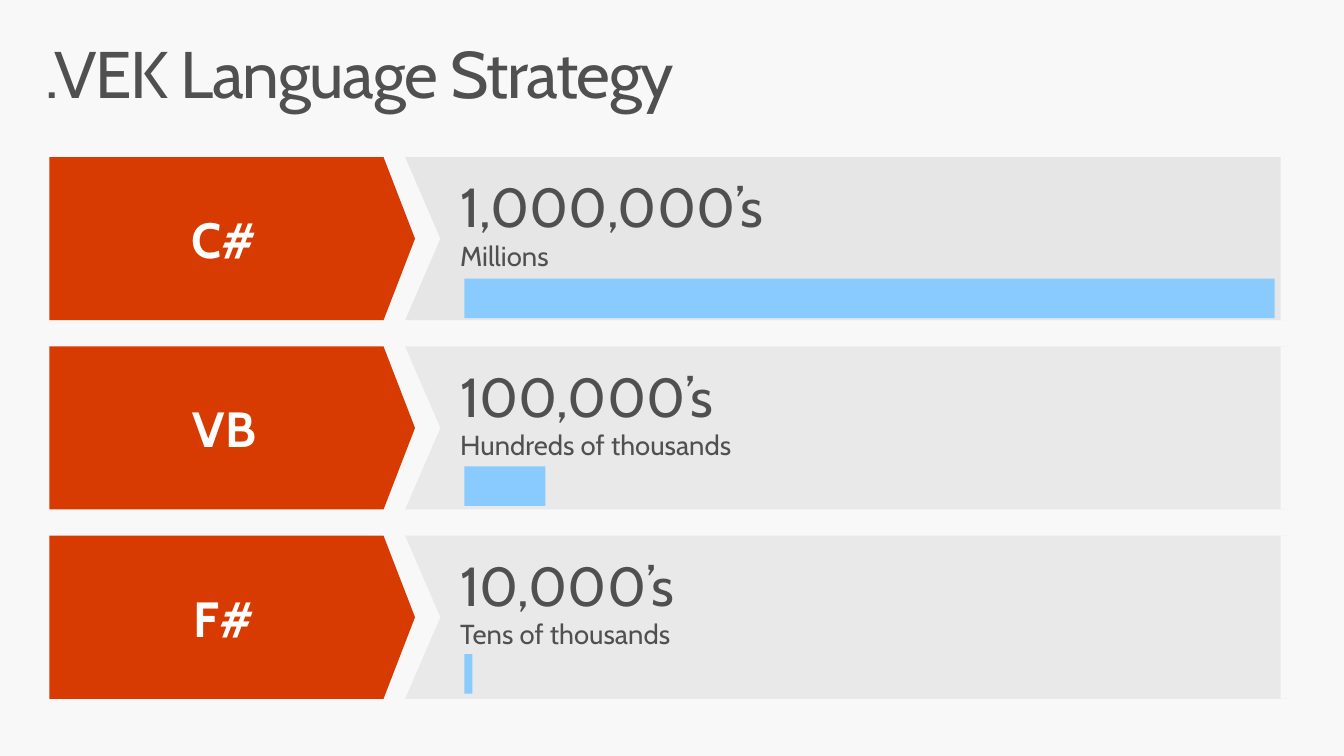
"""Build the language strategy slide."""
from lxml.etree import SubElement
from pptx import Presentation
from pptx.dml.color import RGBColor
from pptx.enum.shapes import MSO_SHAPE
from pptx.enum.text import MSO_ANCHOR, MSO_AUTO_SIZE, PP_ALIGN
from pptx.oxml.ns import qn
from pptx.util import Pt

FONT = "Cabin"
BACKGROUND = RGBColor(0xF8, 0xF8, 0xF8)
DARK_GRAY = RGBColor(0x50, 0x50, 0x50)
PANEL_GRAY = RGBColor(0xE6, 0xE6, 0xE6)
ORANGE = RGBColor(0xD8, 0x3B, 0x01)
BLUE = RGBColor(0x89, 0xCB, 0xFF)
WHITE = RGBColor(0xFF, 0xFF, 0xFF)

ROW_TOP, ROW_PITCH, ROW_HEIGHT = 114.5, 137.9, 118.8
LABEL_LEFT, LABEL_WIDTH = 36, 266.4
PANEL_LEFT, PANEL_WIDTH, PANEL_EDGE = 295.2, 668.2, 933
BAR_LEFT, BAR_TOP, BAR_PITCH, BAR_HEIGHT = 338.4, 203, 136.8, 28.8

LANGUAGES = [
    ("C#", "1,000,000’s", "Millions", 590.4, 100),
    ("VB", "100,000’s", "Hundreds of thousands", 59.04, 80),
    ("F#", "10,000’s", "Tens of thousands", 5.9, 80),
]


def format_runs(p, size, color, bold=False):
    for r in p.runs:
        r.font.name = FONT
        r.font.size = Pt(size)
        r.font.bold = bold
        r.font.color.rgb = color


def set_margins(tf, side, top, bottom):
    tf.margin_left = tf.margin_right = Pt(side)
    tf.margin_top, tf.margin_bottom = Pt(top), Pt(bottom)


def add_block(shapes, kind, left, top, width, height, color, opacity=100):
    sp = shapes.add_shape(kind, Pt(left), Pt(top), Pt(width), Pt(height))
    sp.shadow.inherit = False
    sp.fill.solid()
    sp.fill.fore_color.rgb = color
    sp.line.fill.background()
    if opacity < 100:
        clr = sp.fill._xPr.find(".//" + qn("a:srgbClr"))
        SubElement(clr, qn("a:alpha")).set("val", str(opacity * 1000))
    return sp


def add_title(slide, text):
    title = slide.shapes.title
    title.left, title.top, title.width, title.height = Pt(21.6), Pt(23), Pt(936), Pt(72)
    tf = title.text_frame
    tf.text = text
    tf.word_wrap = True
    tf.auto_size = MSO_AUTO_SIZE.NONE
    tf.vertical_anchor = MSO_ANCHOR.TOP
    set_margins(tf, 11.5, 7.2, 7.2)
    p = tf.paragraphs[0]
    p.alignment = PP_ALIGN.LEFT
    p.line_spacing = 0.9
    format_runs(p, 48, DARK_GRAY)
    p.runs[0].font._element.set("spc", "-100")


def add_label(shapes, top, name):
    sp = add_block(shapes, MSO_SHAPE.PENTAGON, LABEL_LEFT, top, LABEL_WIDTH, ROW_HEIGHT, ORANGE)
    sp.adjustments[0] = 0.193
    tf = sp.text_frame
    tf.text = name
    tf.vertical_anchor = MSO_ANCHOR.MIDDLE
    set_margins(tf, 14.4, 11.5, 11.5)
    p = tf.paragraphs[0]
    p.alignment = PP_ALIGN.CENTER
    format_runs(p, 36, WHITE, bold=True)


def add_panel(shapes, top, figure, words, opacity):
    sp = add_block(shapes, MSO_SHAPE.CHEVRON, PANEL_LEFT, top, PANEL_WIDTH, ROW_HEIGHT,
                   PANEL_GRAY, opacity)
    sp.adjustments[0] = 0.216
    tf = sp.text_frame
    tf.text = f"{figure}\n{words}"
    tf.vertical_anchor = MSO_ANCHOR.TOP
    set_margins(tf, 14.4, 11.5, 11.5)
    for p, size in zip(tf.paragraphs, (40, 20)):
        p.alignment = PP_ALIGN.LEFT
        format_runs(p, size, DARK_GRAY)
    add_block(shapes, MSO_SHAPE.RECTANGLE, PANEL_EDGE, top,
              PANEL_LEFT + PANEL_WIDTH - PANEL_EDGE, ROW_HEIGHT, BACKGROUND)


def add_language(slide, index, name, figure, words, bar_width, opacity):
    row = slide.shapes.add_group_shape()
    top = ROW_TOP + index * ROW_PITCH
    add_label(row.shapes, top, name)
    add_panel(row.shapes, top, figure, words, opacity)
    add_block(slide.shapes, MSO_SHAPE.RECTANGLE, BAR_LEFT, BAR_TOP + index * BAR_PITCH,
              bar_width, BAR_HEIGHT, BLUE)


def main():
    prs = Presentation()
    prs.slide_width, prs.slide_height = Pt(979.2), Pt(550.8)
    slide = prs.slides.add_slide(prs.slide_layouts[5])
    slide.background.fill.solid()
    slide.background.fill.fore_color.rgb = BACKGROUND
    add_title(slide, ".VEK Language Strategy")
    for i, language in enumerate(LANGUAGES):
        add_language(slide, i, *language)
    prs.save("out.pptx")


if __name__ == "__main__":
    main()
